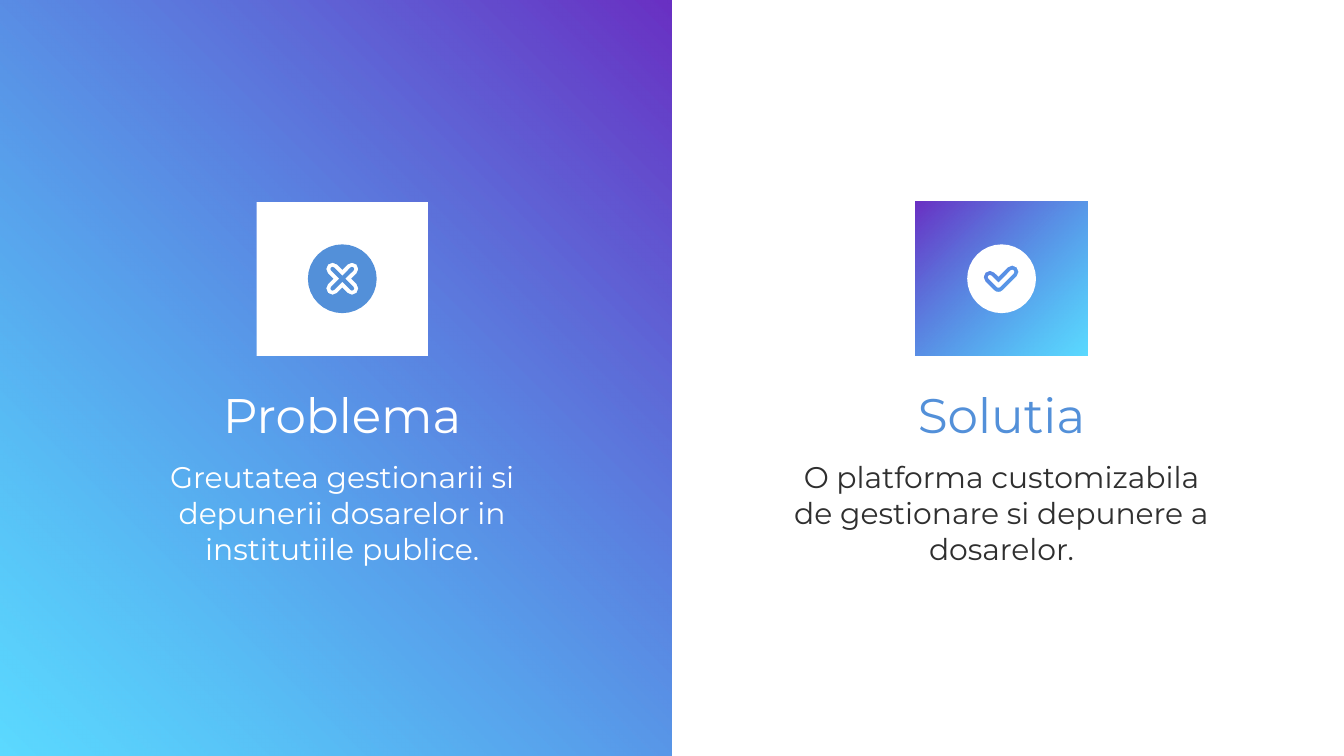
import math

import lxml.etree
import pptx
import pptx.dml.color
import pptx.enum.shapes
import pptx.enum.text
import pptx.oxml.ns
import pptx.util

Cm = pptx.util.Cm
RECT = pptx.enum.shapes.MSO_SHAPE.RECTANGLE
hues = {"white": "FFFFFF", "blue": "5390D9", "dark": "2F2F2F",
        "plum": "6930C3", "cyan": "00C4FF"}
rgb = {name: pptx.dml.color.RGBColor.from_string(hex) for name, hex in hues.items()}

deck = pptx.Presentation()
deck.slide_width, deck.slide_height = Cm(25.4), Cm(14.29)
slide = deck.slides.add_slide(deck.slide_layouts[6])
shapes = slide.shapes


def box(x, y, w, h, hue=None, angle=0):
    """Rectangle in one hue, or blended from plum to clear cyan."""
    rect = shapes.add_shape(RECT, Cm(x), Cm(y), Cm(w), Cm(h))
    rect.shadow.inherit = False
    rect.line.fill.background()
    if hue:
        rect.fill.solid()
        rect.fill.fore_color.rgb = rgb[hue]
        return
    rect.fill.gradient()
    rect.fill.gradient_angle = angle
    for stop, name in zip(rect.fill.gradient_stops, ("plum", "cyan")):
        stop.color.rgb = rgb[name]
    last = list(rect._element.spPr.iter(pptx.oxml.ns.qn("a:srgbClr")))[-1]
    lxml.etree.SubElement(last, pptx.oxml.ns.qn("a:alpha"), val="64000")


def arc(x, y, r, start, end, steps=4):
    """Points along an arc, clockwise in degrees."""
    turns = [math.radians(start + (end - start) * i / steps) for i in range(steps + 1)]
    return [(x + r * math.cos(t), y + r * math.sin(t)) for t in turns]


# Left half of the page
box(0, 0, 12.7, 14.29, angle=225)

# Two columns: middle, card hue, icon hue, title, title hue, body, body hue, body width
cols = [
    (6.47, "white", "blue", "Problema", "white",
     "Greutatea gestionarii si depunerii dosarelor in institutiile publice.", "white", 7.52),
    (18.93, None, "white", "Solutia", "blue",
     "O platforma customizabila de gestionare si depunere a dosarelor.", "dark", 8.48),
]
for mid, card, icon, title, tone, body, ink, wide in cols:
    # Title and body
    for text, y, w, h, size, hue, anchor in (
        (body, 8.43, wide, 2.67, 16, ink, "TOP"),
        (title, 7.3, 7.52, 1.04, 26, tone, "MIDDLE"),
    ):
        frame = shapes.add_textbox(Cm(mid - w / 2), Cm(y), Cm(w), Cm(h)).text_frame
        frame.word_wrap = True
        frame.vertical_anchor = pptx.enum.text.MSO_ANCHOR[anchor]
        frame.margin_top = frame.margin_bottom = Cm(0.25)
        para = frame.paragraphs[0]
        para.text = text
        para.alignment = pptx.enum.text.PP_ALIGN.CENTER
        para.font.name = "Montserrat"
        para.font.size = pptx.util.Pt(size)
        para.font.color.rgb = rgb[hue]

    # Card
    box(mid - 1.62, 3.82, 3.24, 2.91, card, angle=315)

    # Cross or tick, wide for the hole and slim for the mark
    marks = []
    for r in (0.12, 0.04):
        notch = r * math.sqrt(2)
        ring = []
        if title == "Problema":
            for turn in (45, 135, 225, 315):
                a, b = math.radians(turn), math.radians(turn + 45)
                ring += arc(0.26 * math.cos(a), 0.26 * math.sin(a), r, turn - 90, turn + 90)
                ring.append((notch * math.cos(b), notch * math.sin(b)))
        else:
            x, y = -0.06, 0.13
            ring += arc(x - 0.16, y - 0.16, r, 135, 315)
            ring.append((x, y - notch))
            ring += arc(x + 0.26, y - 0.26, r, 225, 405)
            ring += arc(x, y, r, 45, 135)
        marks.append(ring)

    # Disc with its hole, then the mark inside
    hole, mark = marks
    for rings in ([arc(0, 0, 0.65, 0, 360, 32), hole], [mark]):
        pen = None
        for ring in rings:
            dots = [(Cm(mid + x), Cm(5.27 + y)) for x, y in ring]
            if pen is None:
                pen = shapes.build_freeform(*dots[0])
            else:
                pen.move_to(*dots[0])
            pen.add_line_segments(dots[1:], close=True)
        part = pen.convert_to_shape()
        part.shadow.inherit = False
        part.fill.solid()
        part.fill.fore_color.rgb = rgb[icon]
        part.line.fill.background()

deck.save("out.pptx")
